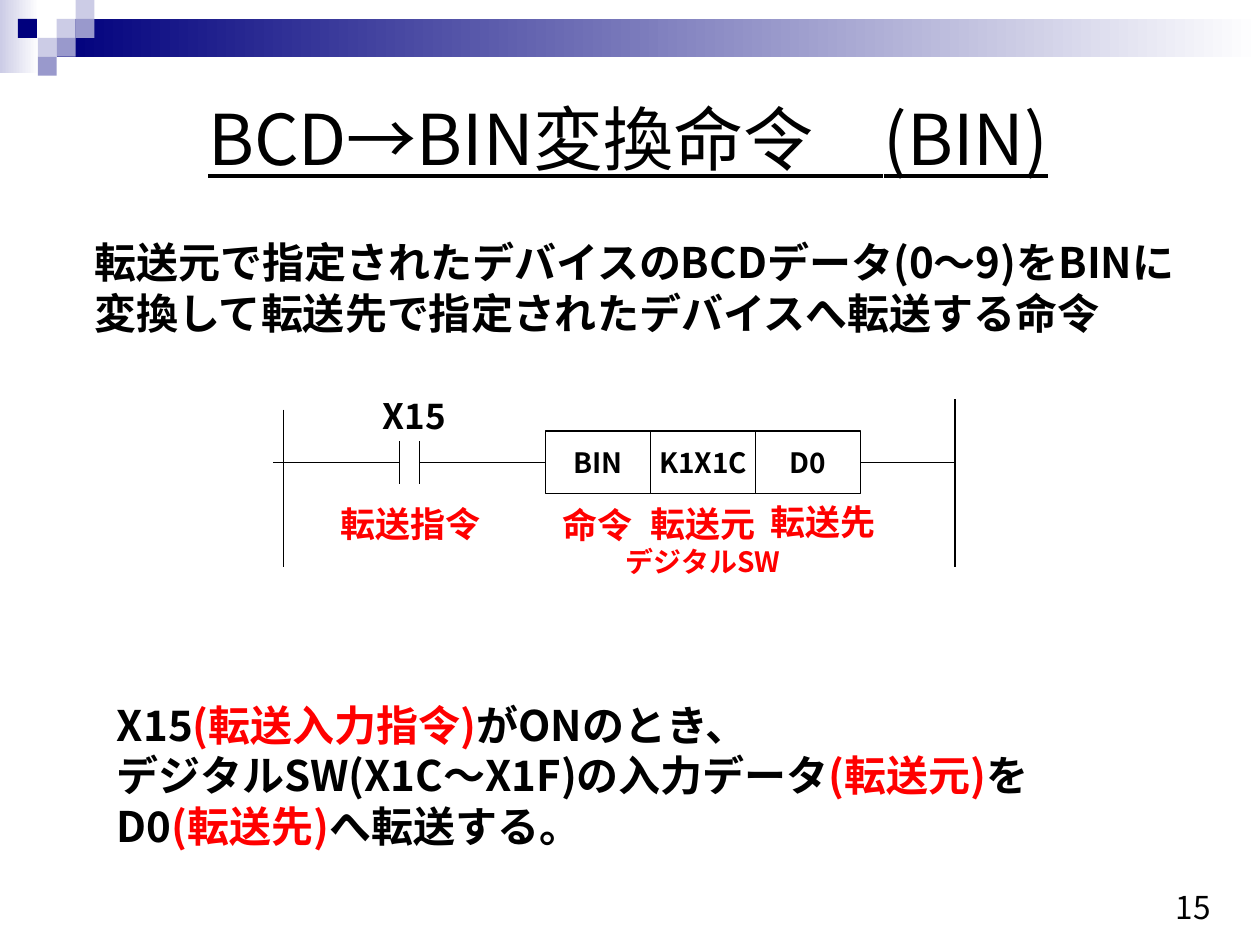
"""Build the slide on the BCD to BIN transfer instruction."""
import dataclasses
import typing

import lxml.etree
import pptx
import pptx.dml.color
import pptx.enum.shapes
import pptx.enum.text
import pptx.oxml.ns
import pptx.util

Inches = pptx.util.Inches
Color = pptx.dml.color.RGBColor
Align = pptx.enum.text.PP_ALIGN
Anchor = pptx.enum.text.MSO_ANCHOR
RECT = pptx.enum.shapes.MSO_SHAPE.RECTANGLE
LINE = pptx.enum.shapes.MSO_CONNECTOR.STRAIGHT


@dataclasses.dataclass(frozen=True)
class Theme:
    font: str = "Noto Sans CJK JP"
    ink: str = "000000"
    paper: str = "FFFFFF"
    red: str = "FF0000"
    navy: str = "00007D"
    mid: str = "9999CC"
    pale: str = "CCCCE6"
    title: int = 40
    body: int = 24
    label: int = 20
    page: int = 18
    small: int = 16
    rule: float = 0.75


THEME = Theme()


class Box(typing.NamedTuple):
    left: float
    top: float
    width: float
    height: float


class Run(typing.NamedTuple):
    text: str
    size: int = THEME.body
    color: str = THEME.ink
    bold: bool = True
    under: bool = False


class Wire(typing.NamedTuple):
    x1: float
    y1: float
    x2: float
    y2: float


class Note(typing.NamedTuple):
    box: Box
    lines: list[list[Run]]
    align: typing.Any = Align.LEFT
    anchor: typing.Any = Anchor.TOP
    wrap: bool = True
    inset: float = 0.1


def tag(text: str, color: str = THEME.red, size: int = THEME.label) -> list[Run]:
    return [Run(text, size, color)]


def label(box: Box, lines: list[list[Run]]) -> Note:
    return Note(box, lines, Align.CENTER, Anchor.MIDDLE, False, 0)


def red(text: str) -> Run:
    return Run(text, color=THEME.red)


def style(run: typing.Any, look: Run) -> None:
    font = run.font
    font.name = THEME.font
    font.size = pptx.util.Pt(look.size)
    font.bold = look.bold
    font.underline = look.under
    font.color.rgb = Color.from_string(look.color)
    face = lxml.etree.SubElement(font._element, pptx.oxml.ns.qn("a:ea"))
    face.set("typeface", THEME.font)


def write(shape: typing.Any, note: Note) -> None:
    frame = shape.text_frame
    frame.word_wrap = note.wrap
    frame.vertical_anchor = note.anchor
    frame.margin_left = frame.margin_right = Inches(note.inset)
    frame.text = "\n".join("" for _ in note.lines)
    for para, line in zip(frame.paragraphs, note.lines):
        para.alignment = note.align
        for look in line:
            run = para.add_run()
            run.text = look.text
            style(run, look)


def add_note(slide: typing.Any, note: Note) -> None:
    write(slide.shapes.add_textbox(*map(Inches, note.box)), note)


def add_rect(slide: typing.Any, box: Box, color: str, fade: bool = False) -> typing.Any:
    shape = slide.shapes.add_shape(RECT, *map(Inches, box))
    shape.shadow.inherit = False
    shape.line.fill.background()
    if fade:
        shape.fill.gradient()
        shape.fill.gradient_angle = 0
        for stop, shade in zip(shape.fill.gradient_stops, (color, THEME.paper)):
            stop.color.rgb = Color.from_string(shade)
    else:
        shape.fill.solid()
        shape.fill.fore_color.rgb = Color.from_string(color)
    return shape


def add_cell(slide: typing.Any, box: Box, text: str) -> None:
    shape = add_rect(slide, box, THEME.paper)
    shape.line.color.rgb = Color.from_string(THEME.ink)
    shape.line.width = pptx.util.Pt(THEME.rule)
    write(shape, label(box, [tag(text, THEME.ink, THEME.small)]))


def add_wire(slide: typing.Any, wire: Wire) -> None:
    line = slide.shapes.add_connector(LINE, *map(Inches, wire))
    line.line.color.rgb = Color.from_string(THEME.ink)
    line.line.width = pptx.util.Pt(THEME.rule)
    lxml.etree.SubElement(line._element.spPr, pptx.oxml.ns.qn("a:effectLst"))


def add_band(slide: typing.Any) -> None:
    add_rect(slide, Box(0, 0, 0.31, 0.58), THEME.pale, True)
    add_rect(slide, Box(0.45, 0.15, 9.55, 0.3), THEME.navy, True)
    tiles = {
        THEME.pale: [(3, 1), (4, 0), (2, 2)],
        THEME.mid: [(4, 1), (3, 2), (2, 3)],
        THEME.navy: [(0.95, 1)],
    }
    side = 0.15
    for color, spots in tiles.items():
        for col, row in spots:
            add_rect(slide, Box(col * side, row * side, side, side), color)


def add_rung(slide: typing.Any) -> None:
    mid, cell = 3.67, 2.5 / 3
    wires = [
        Wire(2.25, 3.25, 2.25, 4.5), Wire(7.58, 3.17, 7.58, 4.5),
        Wire(3.17, 3.5, 3.17, 3.84), Wire(3.33, 3.5, 3.33, 3.84),
        Wire(2.17, mid, 3.17, mid), Wire(3.33, mid, 4.33, mid),
        Wire(6.83, mid, 7.58, mid),
    ]
    for wire in wires:
        add_wire(slide, wire)
    for col, text in enumerate(["BIN", "K1X1C", "D0"]):
        add_cell(slide, Box(4.33 + col * cell, 3.42, cell, 0.5), text)
    tags = [
        label(Box(2.6, 3.94, 1.31, 0.43), [tag("転送指令")]),
        label(Box(4.36, 3.95, 0.76, 0.43), [tag("命令")]),
        label(Box(4.88, 4.07, 1.4, 0.43),
              [tag("転送元"), tag("デジタルSW", size=THEME.small)]),
        label(Box(6.02, 3.92, 1.03, 0.43), [tag("転送先")]),
        label(Box(3, 3.08, 0.58, 0.43), [tag("X15", THEME.ink)]),
    ]
    for note in tags:
        add_note(slide, note)


def main() -> None:
    deck = pptx.Presentation()
    deck.slide_width, deck.slide_height = Inches(10), Inches(7.5)
    slide = deck.slides.add_slide(deck.slide_layouts[6])
    add_band(slide)
    add_rung(slide)
    notes = [
        Note(Box(0.65, 0.71, 8.67, 0.77),
             [[Run("BCD→BIN変換命令　(BIN)", THEME.title, bold=False, under=True)]],
             Align.CENTER),
        Note(Box(0.65, 1.83, 9.17, 0.91),
             [[Run("転送元で指定されたデバイスのBCDデータ(0～9)をBINに")],
              [Run("変換して転送先で指定されたデバイスへ転送する命令")]]),
        Note(Box(0.83, 5.5, 8.58, 1.31),
             [[Run("X15"), red("(転送入力指令)"), Run("がONのとき、")],
              [Run("デジタルSW(X1C～X1F)の入力データ"), red("(転送元)"), Run("を")],
              [Run("D0"), red("(転送先)"), Run("へ転送する。")]]),
        Note(Box(8.94, 6.9, 1.06, 0.6), [[Run("15", THEME.page, bold=False)]],
             Align.CENTER, Anchor.MIDDLE),
    ]
    for note in notes:
        add_note(slide, note)
    deck.save("out.pptx")


if __name__ == "__main__":
    main()
